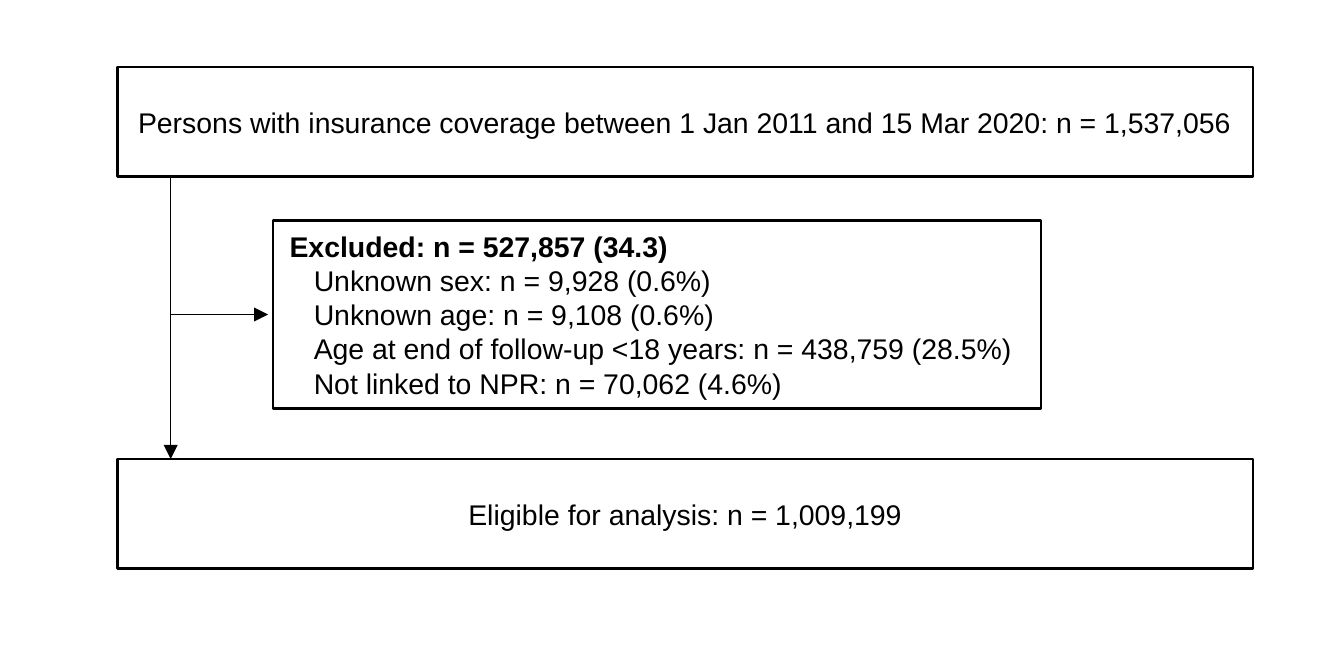
"""Build a participant flow chart on one slide."""
from dataclasses import dataclass

from lxml import etree
from pptx import Presentation
from pptx import util as u
from pptx.dml import color
from pptx.enum import shapes, text
from pptx.oxml import ns


@dataclass(frozen=True)
class Theme:
    """Colours, type and line widths of the slide."""
    ink: color.RGBColor = color.RGBColor(0, 0, 0)
    paper: color.RGBColor = color.RGBColor(255, 255, 255)
    font: str = "Arial"
    size: u.Pt = u.Pt(12)
    border: u.Pt = u.Pt(1)
    arrow: u.Pt = u.Pt(0.5)
    indent: u.Cm = u.Cm(0.36)


class FlowChart:
    """Draws boxes and arrows on one page in one theme."""

    def __init__(self, page, theme):
        """Keep the page and its theme."""
        self.page = page
        self.theme = theme

    def add_box(self, left, top, width, height):
        """Add a bordered box, placed in centimetres."""
        box = self.page.shapes.add_shape(
            shapes.MSO_SHAPE.RECTANGLE,
            *(u.Cm(length) for length in (left, top, width, height)))
        box.shadow.inherit = False
        box.fill.solid()
        box.fill.fore_color.rgb = self.theme.paper
        box.line.color.rgb = self.theme.ink
        box.line.width = self.theme.border
        box.text_frame.word_wrap = True
        box.text_frame.vertical_anchor = text.MSO_ANCHOR.MIDDLE
        return box

    def add_span(self, para, words, bold=False, centred=False, indented=False):
        """Add one run of text to a paragraph."""
        para.alignment = text.PP_ALIGN.CENTER if centred else text.PP_ALIGN.LEFT
        if indented:
            para._p.get_or_add_pPr().set("marL", str(int(self.theme.indent)))
        span = para.add_run()
        span.text = words
        span.font.name = self.theme.font
        span.font.size = self.theme.size
        span.font.bold = bold
        span.font.color.rgb = self.theme.ink

    def add_stage(self, words, left, top, width, height):
        """Add a box with one centred line."""
        box = self.add_box(left, top, width, height)
        self.add_span(box.text_frame.paragraphs[0], words, centred=True)

    def add_exclusions(self, heading, reasons, left, top, width, height):
        """Add a box with a bold heading and indented reasons."""
        frame = self.add_box(left, top, width, height).text_frame
        self.add_span(frame.paragraphs[0], heading, bold=True)
        for reason in reasons:
            self.add_span(frame.add_paragraph(), reason, indented=True)

    def add_arrow(self, *ends):
        """Add an arrow from x, y to x, y in centimetres."""
        arrow = self.page.shapes.add_connector(
            shapes.MSO_CONNECTOR.STRAIGHT, *(u.Cm(end) for end in ends))
        arrow.line.color.rgb = self.theme.ink
        arrow.line.width = self.theme.arrow
        properties = arrow._element.spPr
        etree.SubElement(properties.find(ns.qn("a:ln")), ns.qn("a:tailEnd"),
                         type="triangle")
        etree.SubElement(properties, ns.qn("a:effectLst"))


def main():
    """Lay out the chart and save the deck."""
    deck = Presentation()
    deck.slide_width, deck.slide_height = u.Cm(20), u.Cm(10)
    chart = FlowChart(deck.slides.add_slide(deck.slide_layouts[6]), Theme())

    left, width, height = 1.75, 16.9, 1.63
    first_top, last_top = 1, 6.83
    excluded_left, excluded_top, excluded_height = 4.06, 3.28, 2.8
    stem = 2.54
    branch = excluded_top + excluded_height / 2

    chart.add_stage(
        "Persons with insurance coverage between 1 Jan 2011 and 15 Mar 2020: "
        "n = 1,537,056", left, first_top, width, height)
    chart.add_exclusions(
        "Excluded: n = 527,857 (34.3)",
        ["Unknown sex: n = 9,928 (0.6%)",
         "Unknown age: n = 9,108 (0.6%)",
         "Age at end of follow-up <18 years: n = 438,759 (28.5%)",
         "Not linked to NPR: n = 70,062 (4.6%)"],
        excluded_left, excluded_top, 11.43, excluded_height)
    chart.add_stage("Eligible for analysis: n = 1,009,199",
                    left, last_top, width, height)
    chart.add_arrow(stem, first_top + height, stem, last_top)
    chart.add_arrow(stem, branch, excluded_left - 0.07, branch)

    deck.save("out.pptx")


main()
